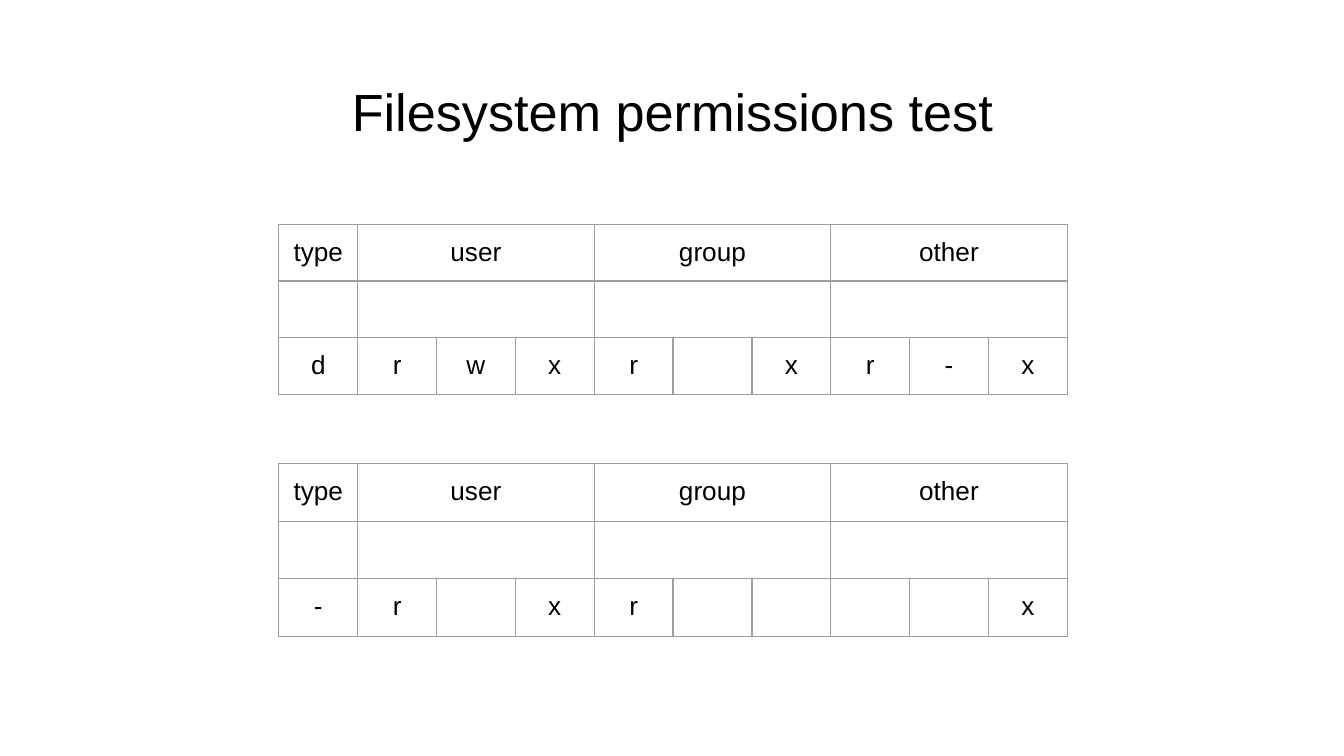
from dataclasses import dataclass

from lxml import etree
from pptx import Presentation
from pptx.dml.color import RGBColor
from pptx.enum.text import MSO_ANCHOR, PP_ALIGN
from pptx.oxml.ns import qn
from pptx.util import Cm, Pt

CENTER = PP_ALIGN.CENTER
TOP = MSO_ANCHOR.TOP
SIDES = ("a:lnL", "a:lnR", "a:lnT", "a:lnB")


@dataclass
class Theme:
    font: str = "Arial"
    ink: str = "000000"
    rule: str = "9E9E9E"
    line: float = 0.75
    head: int = 28
    body: int = 14
    pad: float = 0.25


class Deck:
    def __init__(self, theme, slide):
        self.theme = theme
        self.slide = slide

    def label(self, frame, text, size):
        frame.text = text
        para = frame.paragraphs[0]
        para.alignment = CENTER
        para.font.name = self.theme.font
        para.font.size = Pt(size)
        para.font.bold = False
        para.font.color.rgb = RGBColor.from_string(self.theme.ink)

    def inset(self, box):
        pad = Cm(self.theme.pad)
        box.margin_left = box.margin_right = pad
        box.margin_top = box.margin_bottom = pad

    def title(self, text, left, top, width, height):
        shape = self.slide.shapes.title
        shape.left, shape.top = Cm(left), Cm(top)
        shape.width, shape.height = Cm(width), Cm(height)
        frame = shape.text_frame
        self.label(frame, text, self.theme.head)
        self.inset(frame)
        frame.vertical_anchor = TOP

    def border(self, cell):
        props = cell._tc.get_or_add_tcPr()
        for spot, side in enumerate(SIDES):
            line = etree.Element(qn(side), w=str(Pt(self.theme.line)))
            fill = etree.SubElement(line, qn("a:solidFill"))
            etree.SubElement(fill, qn("a:srgbClr"), val=self.theme.rule)
            props.insert(spot, line)

    def table(self, rows, spans, left, top, col, row):
        cols = len(rows[-1])
        grid = self.slide.shapes.add_table(
            len(rows), cols, Cm(left), Cm(top),
            Cm(col * cols), Cm(row * len(rows))).table
        grid.first_row = grid.horz_banding = False
        for item in grid.columns:
            item.width = Cm(col)
        for item in grid.rows:
            item.height = Cm(row)
        # Plain cells with thin borders
        for y, texts in enumerate(rows):
            for x, text in enumerate(texts):
                cell = grid.cell(y, x)
                cell.fill.background()
                self.border(cell)
                if text:
                    self.label(cell.text_frame, text, self.theme.body)
                    self.inset(cell)
        # Merged groups
        for y, first, last in spans:
            grid.cell(y, first).merge(grid.cell(y, last))


def main():
    show = Presentation()
    show.slide_width, show.slide_height = Cm(25.4), Cm(14.29)
    deck = Deck(Theme(), show.slides.add_slide(show.slide_layouts[5]))

    # Title
    deck.title("Filesystem permissions test", 0.87, 1.24, 23.67, 1.59)

    # Permission tables: top, row height, mode bits
    heads = ["type"]
    for name in ("user", "group", "other"):
        heads += [name, "", ""]
    spans = [(y, x, x + 2) for y in (0, 1) for x in (1, 4, 7)]
    tests = [
        (4.24, 1.07, ["d", "r", "w", "x", "r", "", "x", "r", "-", "x"]),
        (8.76, 1.09, ["-", "r", "", "x", "r", "", "", "", "", "x"]),
    ]
    for top, row, bits in tests:
        rows = [heads, [""] * len(bits), bits]
        deck.table(rows, spans, 5.27, top, 1.49, row)

    show.save("out.pptx")


if __name__ == "__main__":
    main()
